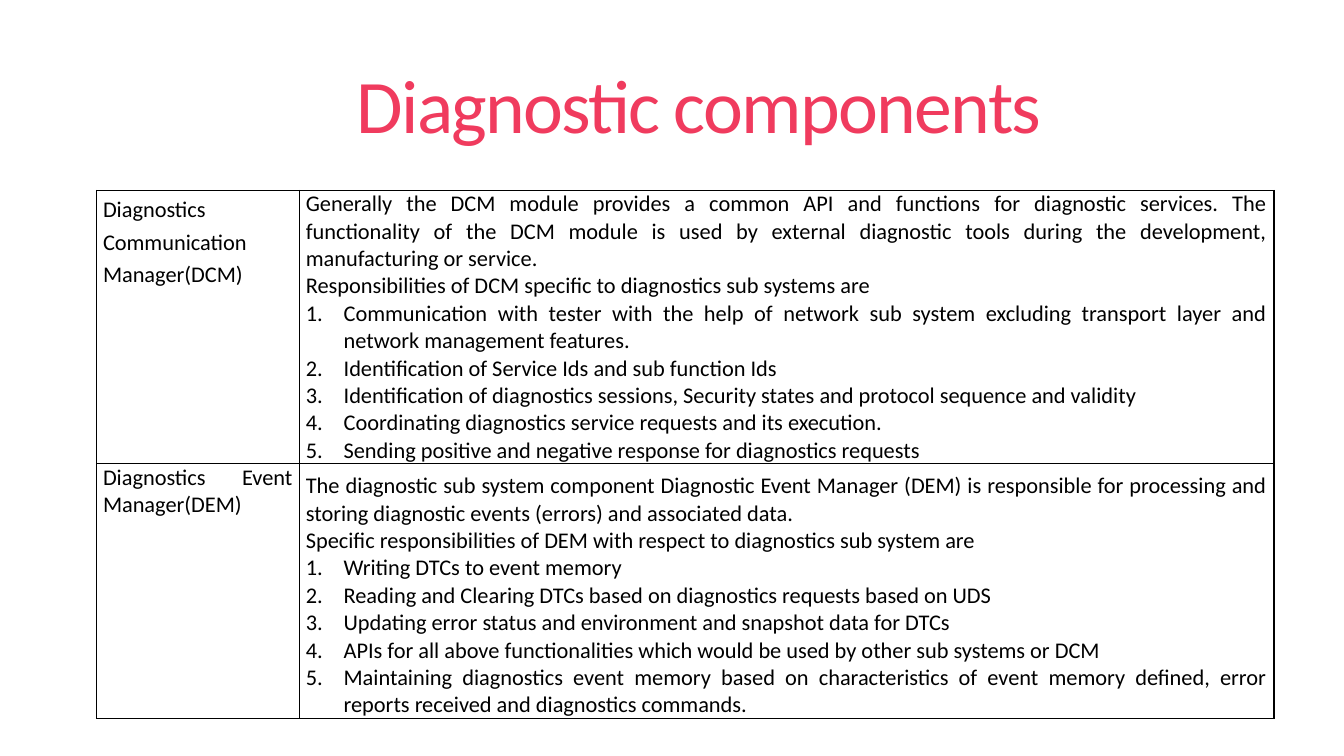
"""Build the slide on diagnostic components with its two-row table."""
from dataclasses import dataclass

from lxml import etree
from pptx import Presentation
from pptx.dml.color import RGBColor
from pptx.enum.text import MSO_ANCHOR, PP_ALIGN
from pptx.oxml.ns import qn
from pptx.util import Pt

CENTER, JUSTIFY = PP_ALIGN.CENTER, PP_ALIGN.JUSTIFY
TOP, MIDDLE, BOTTOM = MSO_ANCHOR.TOP, MSO_ANCHOR.MIDDLE, MSO_ANCHOR.BOTTOM

COLORS = {"title": "F03B5E", "text": "000000", "border": "000000", "page": "FFFFFF"}
FONT = "Calibri"
COLUMN_WIDTHS = (144.9, 696.1)
LIST_INDENT = 27


@dataclass(frozen=True)
class Component:
    name: str
    intro: tuple[str, ...]
    duties: tuple[str, ...]
    height: float
    name_line_spacing: float = 1.0
    name_space_after: float = 0


COMPONENTS = (
    Component(
        "Diagnostics Communication Manager(DCM)",
        (
            "Generally the DCM module provides a common API and functions for diagnostic "
            "services. The functionality of the DCM module is used by external diagnostic "
            "tools during the development, manufacturing or service.",
            "Responsibilities of DCM specific to diagnostics sub systems are",
        ),
        (
            "Communication with tester with the help of network sub system excluding "
            "transport layer and network management features.",
            "Identification of Service Ids and sub function Ids",
            "Identification of diagnostics sessions, Security states and protocol sequence "
            "and validity",
            "Coordinating diagnostics service requests and its execution.",
            "Sending positive and negative response for diagnostics requests",
        ),
        height=195.3,
        name_line_spacing=1.2,
        name_space_after=7,
    ),
    Component(
        "Diagnostics Event Manager(DEM)",
        (
            "The diagnostic sub system component Diagnostic Event Manager (DEM) is "
            "responsible for processing and storing diagnostic events (errors) and "
            "associated data.",
            "Specific responsibilities of DEM with respect to diagnostics sub system are",
        ),
        (
            "Writing DTCs to event memory",
            "Reading and Clearing DTCs based on diagnostics requests based on UDS",
            "Updating error status and environment and snapshot data for DTCs",
            "APIs for all above functionalities which would be used by other sub systems "
            "or DCM",
            "Maintaining diagnostics event memory based on characteristics of event memory "
            "defined, error reports received and diagnostics commands.",
        ),
        height=182.2,
    ),
)


def format_para(para, size: float, color: str, align) -> None:
    para.alignment = align
    for span in para.runs:
        span.font.name = FONT
        span.font.size = Pt(size)
        span.font.color.rgb = RGBColor.from_string(COLORS[color])


def number_para(para) -> None:
    properties = para._p.get_or_add_pPr()
    properties.set("marL", str(Pt(LIST_INDENT)))
    properties.set("indent", str(-Pt(LIST_INDENT)))
    etree.SubElement(properties, qn("a:buFont"), typeface="+mj-lt")
    etree.SubElement(properties, qn("a:buAutoNum"), type="arabicPeriod")


def style_cell(cell, anchor) -> None:
    cell.margin_left, cell.margin_right = Pt(4.5), Pt(5)
    cell.margin_top = cell.margin_bottom = Pt(0)
    cell.vertical_anchor = anchor
    cell.fill.background()
    properties = cell._tc.get_or_add_tcPr()
    for position, side in enumerate(("lnL", "lnR", "lnT", "lnB")):
        line = etree.Element(qn(f"a:{side}"), w=str(Pt(1)))
        fill = etree.SubElement(line, qn("a:solidFill"))
        etree.SubElement(fill, qn("a:srgbClr"), val=COLORS["border"])
        properties.insert(position, line)


def add_title(page, text: str) -> None:
    box = page.shapes.add_textbox(Pt(116.6), Pt(45.4), Pt(765.4), Pt(67))
    frame = box.text_frame
    frame.word_wrap = True
    frame.vertical_anchor = MIDDLE
    frame.text = text
    para = frame.paragraphs[0]
    para.line_spacing = 0.85
    format_para(para, 54, "title", CENTER)
    para.runs[0].font._element.set("spc", "-120")


def fill_name(cell, component: Component) -> None:
    style_cell(cell, TOP)
    cell.text_frame.text = component.name
    para = cell.text_frame.paragraphs[0]
    para.line_spacing = component.name_line_spacing
    para.space_after = Pt(component.name_space_after)
    format_para(para, 16, "text", JUSTIFY)


def fill_description(cell, component: Component) -> None:
    style_cell(cell, BOTTOM)
    cell.text_frame.text = "\n".join(component.intro + component.duties)
    for index, para in enumerate(cell.text_frame.paragraphs):
        format_para(para, 16, "text", JUSTIFY)
        if index >= len(component.intro):
            number_para(para)


def add_component_table(page, components: tuple[Component, ...]) -> None:
    height = sum(component.height for component in components)
    frame = page.shapes.add_table(
        len(components), len(COLUMN_WIDTHS),
        Pt(69.1), Pt(136), Pt(sum(COLUMN_WIDTHS)), Pt(height),
    )
    table = frame.table
    table.first_row = table.horz_banding = False
    for column, width in zip(table.columns, COLUMN_WIDTHS):
        column.width = Pt(width)
    for row, component in zip(table.rows, components):
        row.height = Pt(component.height)
        fill_name(row.cells[0], component)
        fill_description(row.cells[1], component)


def main() -> None:
    deck = Presentation()
    deck.slide_width, deck.slide_height = Pt(960), Pt(540)
    page = deck.slides.add_slide(deck.slide_layouts[6])
    page.background.fill.solid()
    page.background.fill.fore_color.rgb = RGBColor.from_string(COLORS["page"])
    add_title(page, "Diagnostic components")
    add_component_table(page, COMPONENTS)
    deck.save("out.pptx")


if __name__ == "__main__":
    main()
